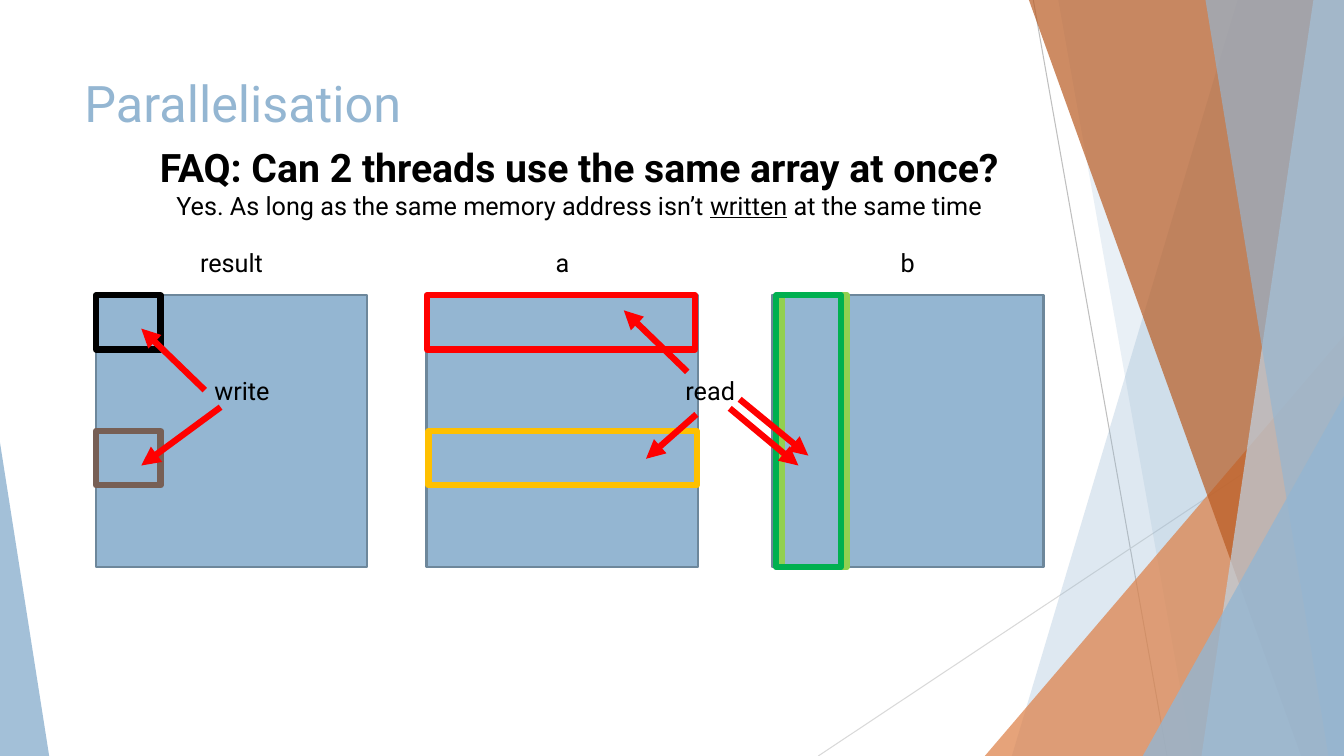
from dataclasses import dataclass

from lxml.etree import SubElement
from pptx import Presentation
from pptx.dml.color import RGBColor
from pptx.enum.shapes import MSO_CONNECTOR as Link, MSO_SHAPE as Preset
from pptx.enum.text import MSO_ANCHOR as Anchor, PP_ALIGN as Align
from pptx.oxml.ns import qn
from pptx.shapes.autoshape import Shape
from pptx.shapes.shapetree import SlideShapes
from pptx.util import Cm, Pt


@dataclass(frozen=True)
class Theme:
    font: str = "Roboto"
    blue: str = "94B6D2"
    blue_edge: str = "6D879B"
    pale_blue: str = "BFD3E4"
    orange: str = "DD8047"
    rust: str = "B95B22"
    brown: str = "775F55"
    black: str = "000000"
    red: str = "FF0000"
    amber: str = "FFC000"
    lime: str = "92D050"
    green: str = "00B050"
    grey: str = "BFBFBF"
    light_grey: str = "D9D9D9"
    title_size: float = 36
    question_size: float = 28
    body_size: float = 18
    hairline: float = 0.75
    edge: float = 1.5
    bold_line: float = 4.5


@dataclass(frozen=True)
class Box:
    left: float
    top: float
    width: float
    height: float


@dataclass(frozen=True)
class Strip:
    top_x: float
    bottom_x: float
    color: str
    opacity: int


@dataclass(frozen=True)
class Wedge:
    box: Box
    apex: float
    color: str
    opacity: int


@dataclass(frozen=True)
class Matrix:
    label: str
    left: float


@dataclass(frozen=True)
class Highlight:
    box: Box
    color: str


@dataclass(frozen=True)
class Stroke:
    x1: float
    y1: float
    x2: float
    y2: float
    color: str
    width: float
    arrow: bool = False


THEME = Theme()
WIDTH, HEIGHT = 33.87, 19.05
SIDE, MATRIX_TOP = 6.85, 7.44
CELL_W, BAND_W, BAND_H, SECOND_BAND_TOP = 1.63, 6.76, 1.37, 10.86
LABEL_TOP, ACCESS_TOP, LABEL_W, LABEL_H = 6.12, 9.34, 3, 1.02

GUIDES = (
    Stroke(26.04, 0, 29.41, HEIGHT, THEME.grey, THEME.hairline),
    Stroke(WIDTH, 10.24, 20.62, HEIGHT, THEME.light_grey, THEME.hairline),
)
FACETS = (
    Strip(31.19, 25.5, THEME.blue, 30),
    Strip(26.67, 30.05, THEME.blue, 20),
    Wedge(Box(24.82, 8.46, 9.05, 10.59), 1, THEME.orange, 72),
    Strip(25.93, 32.79, THEME.rust, 70),
    Strip(33.1, 30.28, THEME.pale_blue, 70),
    Strip(30.38, 33.48, THEME.blue, 65),
    Wedge(Box(28.8, 9.98, 5.07, 9.07), 1, THEME.blue, 80),
    Wedge(Box(0, 11.15, 1.24, 7.9), 0, THEME.blue, 85),
)
MATRICES = (Matrix("result", 2.41), Matrix("a", 10.75), Matrix("b", 19.45))
HIGHLIGHTS = (
    Highlight(Box(2.42, MATRIX_TOP, CELL_W, BAND_H), THEME.black),
    Highlight(Box(10.76, MATRIX_TOP, BAND_W, BAND_H), THEME.red),
    Highlight(Box(19.71, MATRIX_TOP, CELL_W, SIDE), THEME.lime),
    Highlight(Box(2.42, SECOND_BAND_TOP, CELL_W, BAND_H), THEME.brown),
    Highlight(Box(10.8, SECOND_BAND_TOP, BAND_W, BAND_H), THEME.amber),
    Highlight(Box(19.56, MATRIX_TOP, CELL_W, SIDE), THEME.green),
)
ACCESSES = (("write", 6.1), ("read", 17.9))
ARROWS = tuple(
    Stroke(*ends, THEME.red, THEME.bold_line, arrow=True)
    for ends in (
        (5.16, 9.83, 3.56, 8.28),
        (5.56, 10.26, 3.56, 11.73),
        (17.32, 9.37, 15.72, 7.82),
        (17.55, 10.44, 16.28, 11.56),
        (18.39, 10.29, 20.12, 11.73),
        (18.64, 10.06, 20.37, 11.48),
    )
)


def paint(shape: Shape, color: str, opacity: int = 100) -> None:
    """Fill a shape without outline or shadow."""
    shape.shadow.inherit = False
    shape.line.fill.background()
    shape.fill.solid()
    shape.fill.fore_color.rgb = RGBColor.from_string(color)
    if opacity < 100:
        tint = next(shape.fill._xPr.iter(qn("a:srgbClr")))
        SubElement(tint, qn("a:alpha")).set("val", str(opacity * 1000))


def add_preset(shapes: SlideShapes, preset: Preset, box: Box) -> Shape:
    """Place a preset shape in a box."""
    return shapes.add_shape(preset, Cm(box.left), Cm(box.top), Cm(box.width), Cm(box.height))


def add_facet(shapes: SlideShapes, facet: Strip | Wedge) -> None:
    """Draw one translucent facet of the backdrop."""
    if isinstance(facet, Wedge):
        shape = add_preset(shapes, Preset.ISOSCELES_TRIANGLE, facet.box)
        shape.adjustments[0] = facet.apex
    else:
        outline = shapes.build_freeform(Cm(facet.top_x), 0)
        corners = ((WIDTH, 0), (WIDTH, HEIGHT), (facet.bottom_x, HEIGHT))
        outline.add_line_segments([(Cm(x), Cm(y)) for x, y in corners])
        shape = outline.convert_to_shape()
    paint(shape, facet.color, facet.opacity)


def add_rect(shapes: SlideShapes, box: Box, line: str, width: float, fill: str | None = None) -> None:
    """Draw an outlined rectangle, hollow unless a fill is given."""
    shape = add_preset(shapes, Preset.RECTANGLE, box)
    shape.shadow.inherit = False
    if fill:
        paint(shape, fill)
    else:
        shape.fill.background()
    shape.line.color.rgb = RGBColor.from_string(line)
    shape.line.width = Pt(width)


def add_stroke(shapes: SlideShapes, stroke: Stroke) -> None:
    """Draw a straight line, with an arrowhead at its end on request."""
    link = shapes.add_connector(
        Link.STRAIGHT, Cm(stroke.x1), Cm(stroke.y1), Cm(stroke.x2), Cm(stroke.y2))
    link.line.color.rgb = RGBColor.from_string(stroke.color)
    link.line.width = Pt(stroke.width)
    if stroke.arrow:
        SubElement(link.line._get_or_add_ln(), qn("a:tailEnd")).set("type", "triangle")
    SubElement(link._element.spPr, qn("a:effectLst"))


def add_text(shapes: SlideShapes, box: Box, lines: tuple[tuple[str, float, bool], ...],
             color: str = THEME.black, align: Align = Align.CENTER, wrap: bool = False) -> None:
    """Write lines of text, underlining what stands between underscores."""
    frame = shapes.add_textbox(Cm(box.left), Cm(box.top), Cm(box.width), Cm(box.height)).text_frame
    frame.word_wrap = wrap
    frame.vertical_anchor = Anchor.TOP
    for index, (text, size, bold) in enumerate(lines):
        paragraph = frame.add_paragraph() if index else frame.paragraphs[0]
        paragraph.alignment = align
        font = paragraph.font
        font.name, font.size, font.bold = THEME.font, Pt(size), bold
        font.color.rgb = RGBColor.from_string(color)
        for position, part in enumerate(text.split("_")):
            run = paragraph.add_run()
            run.text = part
            if position % 2:
                run.font.underline = True


def add_label(shapes: SlideShapes, text: str, center: float, top: float) -> None:
    """Write a short label around a centre line."""
    box = Box(center - LABEL_W / 2, top, LABEL_W, LABEL_H)
    add_text(shapes, box, ((text, THEME.body_size, False),))


def main() -> None:
    """Build the slide and save it."""
    deck = Presentation()
    deck.slide_width, deck.slide_height = Cm(WIDTH), Cm(HEIGHT)
    shapes = deck.slides.add_slide(deck.slide_layouts[6]).shapes
    for guide in GUIDES:
        add_stroke(shapes, guide)
    for facet in FACETS:
        add_facet(shapes, facet)
    add_text(shapes, Box(1.88, 1.7, 23.88, 3.66), (("Parallelisation", THEME.title_size, False),),
             THEME.blue, Align.LEFT, wrap=True)
    for matrix in MATRICES:
        add_rect(shapes, Box(matrix.left, MATRIX_TOP, SIDE, SIDE), THEME.blue_edge, THEME.edge, THEME.blue)
        add_label(shapes, matrix.label, matrix.left + SIDE / 2, LABEL_TOP)
    for highlight in HIGHLIGHTS:
        add_rect(shapes, highlight.box, highlight.color, THEME.bold_line)
    add_text(shapes, Box(3.18, 3.48, 22.83, 2.31), (
        ("FAQ: Can 2 threads use the same array at once?", THEME.question_size, True),
        ("Yes. As long as the same memory address isn’t _written_ at the same time", THEME.body_size, False),
    ))
    for access, center in ACCESSES:
        add_label(shapes, access, center, ACCESS_TOP)
    for arrow in ARROWS:
        add_stroke(shapes, arrow)
    deck.save("out.pptx")


if __name__ == "__main__":
    main()
